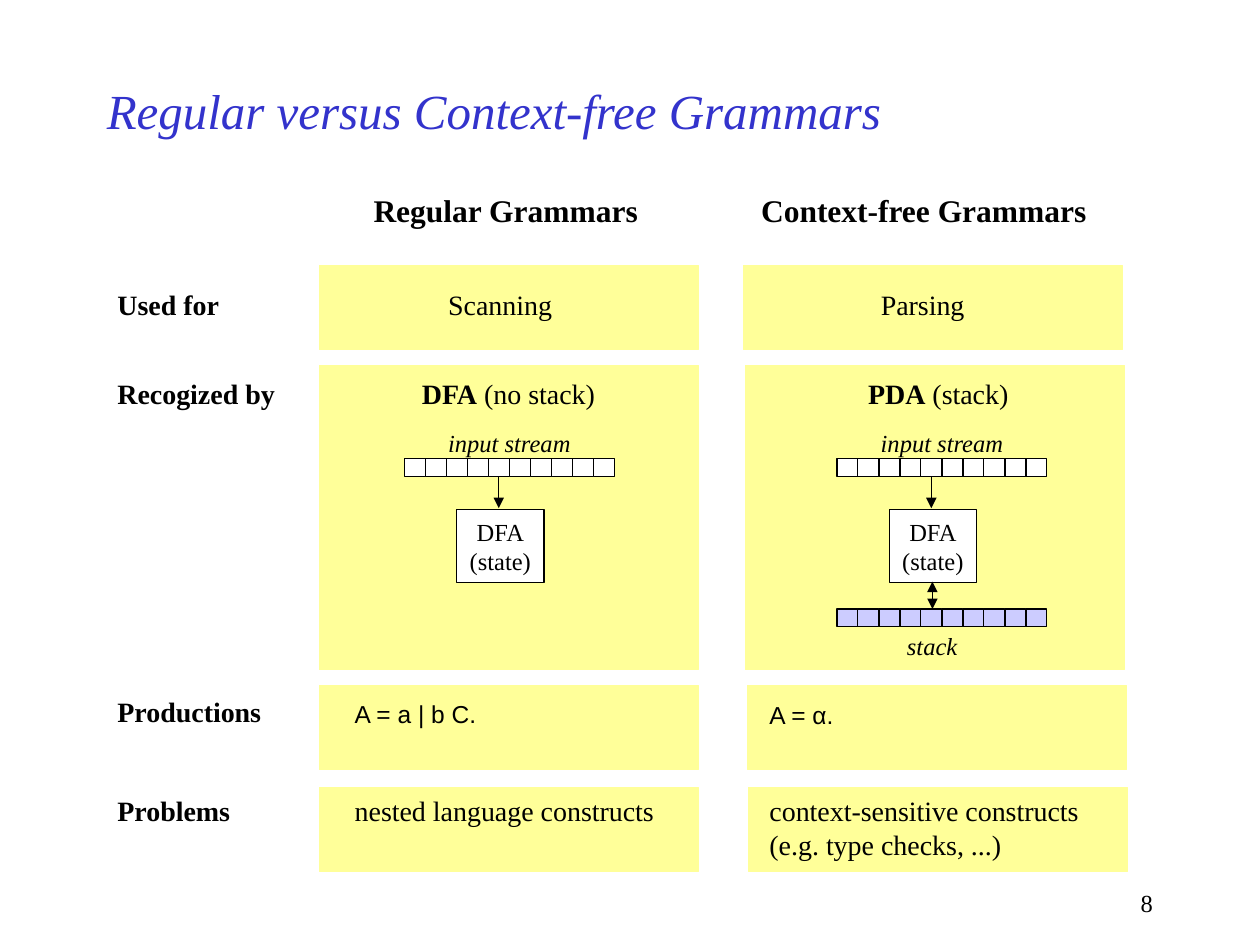
from dataclasses import dataclass

from lxml.etree import SubElement
from pptx import Presentation
from pptx.dml.color import RGBColor
from pptx.enum.shapes import MSO_CONNECTOR, MSO_SHAPE
from pptx.enum.text import MSO_ANCHOR, MSO_AUTO_SIZE, PP_ALIGN
from pptx.oxml.ns import qn
from pptx.shapes.autoshape import Shape
from pptx.shapes.shapetree import SlideShapes
from pptx.util import Emu, Inches, Pt

SLIDE_WIDTH, SLIDE_HEIGHT = Inches(10), Inches(7.5)
GRID_COLUMNS = 60
UNIT = SLIDE_WIDTH / GRID_COLUMNS
SERIF, SANS = "Times New Roman", "Arial"
BLACK, WHITE, YELLOW, LILAC, BLUE = "000000", "FFFFFF", "FFFF99", "CCCCFF", "3333CC"
REGULAR_LEFT, PANEL_COLUMNS = 15.2, 18.05
CONTEXT_FREE_SHIFT = 20.6
TAPE_CELLS, TAPE_ROWS = 10, 0.85


@dataclass(frozen=True)
class Box:
    """A rectangle in grid columns and rows."""
    column: float
    row: float
    columns: float
    rows: float


@dataclass(frozen=True)
class Label:
    """Text with its place; lead is a bold opening of the first line."""
    text: str
    box: Box
    size: int = 16
    bold: bool = False
    italic: bool = False
    face: str = SERIF
    color: str = BLACK
    align: PP_ALIGN = PP_ALIGN.LEFT
    lead: str = ""


@dataclass(frozen=True)
class Band:
    """One comparison row: its extent and the left edge on the right side."""
    row: float
    rows: float
    context_free_left: float


BANDS = [
    Band(12.65, 4, 35.4),
    Band(17.4, 14.5, 35.5),
    Band(32.65, 4, 35.6),
    Band(37.5, 4, 35.65),
]

LABELS = [
    Label("Regular Grammars", Box(17.2, 8.8, 13.8, 2.4), 18, bold=True),
    Label("Context-free Grammars", Box(35.65, 8.8, 16.75, 2.4), 18, bold=True),
    Label("Used for", Box(5, 13.4, 6.05, 2.2), bold=True),
    Label("Scanning", Box(20.75, 13.4, 6.2, 2.2)),
    Label("Parsing", Box(41.35, 13.4, 5.2, 2.2)),
    Label("Recogized by", Box(5, 17.65, 8.7, 2.2), bold=True),
    Label(" (no stack)", Box(19.5, 17.65, 9.55, 2.2), lead="DFA"),
    Label(" (stack)", Box(40.75, 17.65, 7.9, 2.2), lead="PDA"),
    Label("Productions", Box(5, 32.8, 8.1, 2.2), bold=True),
    Label("A = a | b C.", Box(16.3, 33, 7, 2), 14, face=SANS),
    Label("A = α.", Box(36.05, 33.05, 4.4, 2), 14, face=SANS),
    Label("Problems", Box(5, 37.5, 6.6, 2.2), bold=True),
    Label("nested language constructs", Box(16.3, 37.5, 15.55, 2.2)),
    Label("context-sensitive constructs\n(e.g. type checks, ...)", Box(36.05, 37.5, 16, 3.85)),
]


def grid(length: float) -> Emu:
    """Turn grid units into a slide length."""
    return Emu(round(length * UNIT))


def place(box: Box) -> tuple[Emu, Emu, Emu, Emu]:
    """Turn a grid box into left, top, width and height."""
    return grid(box.column), grid(box.row), grid(box.columns), grid(box.rows)


def color(value: str) -> RGBColor:
    """Read a hex colour."""
    return RGBColor.from_string(value)


def draw_rectangle(shapes: SlideShapes, box: Box, fill: str, outline: str) -> Shape:
    """Draw a flat outlined rectangle."""
    rectangle = shapes.add_shape(MSO_SHAPE.RECTANGLE, *place(box))
    rectangle.shadow.inherit = False
    rectangle.fill.solid()
    rectangle.fill.fore_color.rgb = color(fill)
    rectangle.line.color.rgb = color(outline)
    rectangle.line.width = Pt(0.75)
    return rectangle


def write(holder: Shape, label: Label) -> None:
    """Write a label's lines into a shape."""
    frame = holder.text_frame
    frame.word_wrap = False
    frame.auto_size = MSO_AUTO_SIZE.SHAPE_TO_FIT_TEXT
    for index, line in enumerate(label.text.split("\n")):
        paragraph = frame.add_paragraph() if index else frame.paragraphs[0]
        paragraph.alignment = label.align
        font = paragraph.font
        font.name, font.size, font.italic = label.face, Pt(label.size), label.italic
        font.bold = label.bold
        font.color.rgb = color(label.color)
        if label.lead and index == 0:
            lead = paragraph.add_run()
            lead.text, lead.font.bold = label.lead, True
        paragraph.add_run().text = line


def draw_label(shapes: SlideShapes, label: Label) -> Shape:
    """Draw a label as a text box."""
    holder = shapes.add_textbox(*place(label.box))
    write(holder, label)
    return holder


def draw_framed_label(shapes: SlideShapes, label: Label, wrap: bool, anchor: MSO_ANCHOR) -> None:
    """Draw a label that keeps its box size."""
    frame = draw_label(shapes, label).text_frame
    frame.auto_size = MSO_AUTO_SIZE.NONE
    frame.word_wrap = wrap
    frame.vertical_anchor = anchor


def draw_arrow(shapes: SlideShapes, column: float, top: float, bottom: float, *ends: str) -> None:
    """Draw a vertical arrow with heads at the given ends."""
    x = grid(column)
    arrow = shapes.add_connector(MSO_CONNECTOR.STRAIGHT, x, grid(top), x, grid(bottom))
    arrow.line.color.rgb = color(BLACK)
    arrow.line.width = Pt(0.75)
    outline = arrow.line._get_or_add_ln()
    for end in ends:
        SubElement(outline, qn(f"a:{end}"), type="triangle")
    SubElement(arrow._element.spPr, qn("a:effectLst"))


def draw_tape(shapes: SlideShapes, column: float, row: float, fill: str) -> None:
    """Draw a tape of one-column cells."""
    for cell in range(TAPE_CELLS):
        draw_rectangle(shapes, Box(column + cell, row, 1, TAPE_ROWS), fill, BLACK)


def draw_automaton(shapes: SlideShapes, shift: float) -> None:
    """Draw the input stream feeding the state box."""
    draw_tape(shapes, 19.25 + shift, 21.85, WHITE)
    state = Label("DFA\n(state)", Box(21.75 + shift, 24.25, 4.15, 3.5), 14, align=PP_ALIGN.CENTER)
    write(draw_rectangle(shapes, state.box, WHITE, BLACK), state)
    draw_arrow(shapes, 23.75 + shift, 22.7, 24.2, "tailEnd")
    draw_label(shapes, Label("input stream", Box(20.75 + shift, 20.1, 7.1, 2), 14, italic=True))


def draw_stack(shapes: SlideShapes, shift: float) -> None:
    """Draw the stack below the state box."""
    draw_tape(shapes, 19.25 + shift, 29, LILAC)
    draw_arrow(shapes, 23.8 + shift, 27.7, 29, "headEnd", "tailEnd")
    draw_label(shapes, Label("stack", Box(22 + shift, 29.75, 3.6, 2), 14, italic=True))


def main() -> None:
    """Build the comparison slide."""
    deck = Presentation()
    deck.slide_width, deck.slide_height = SLIDE_WIDTH, SLIDE_HEIGHT
    shapes = deck.slides.add_slide(deck.slide_layouts[6]).shapes
    title = Label("Regular versus Context-free Grammars", Box(4.5, 3, 45, 4.5), 28,
                  italic=True, color=BLUE)
    draw_framed_label(shapes, title, True, MSO_ANCHOR.MIDDLE)
    for band in BANDS:
        for left in (REGULAR_LEFT, band.context_free_left):
            draw_rectangle(shapes, Box(left, band.row, PANEL_COLUMNS, band.rows), YELLOW, YELLOW)
    for label in LABELS:
        draw_label(shapes, label)
    for shift in (0, CONTEXT_FREE_SHIFT):
        draw_automaton(shapes, shift)
    draw_stack(shapes, CONTEXT_FREE_SHIFT)
    page_number = Label("8", Box(43, 42, 12.5, 2), 14, align=PP_ALIGN.RIGHT)
    draw_framed_label(shapes, page_number, True, MSO_ANCHOR.TOP)
    deck.save("out.pptx")


if __name__ == "__main__":
    main()
